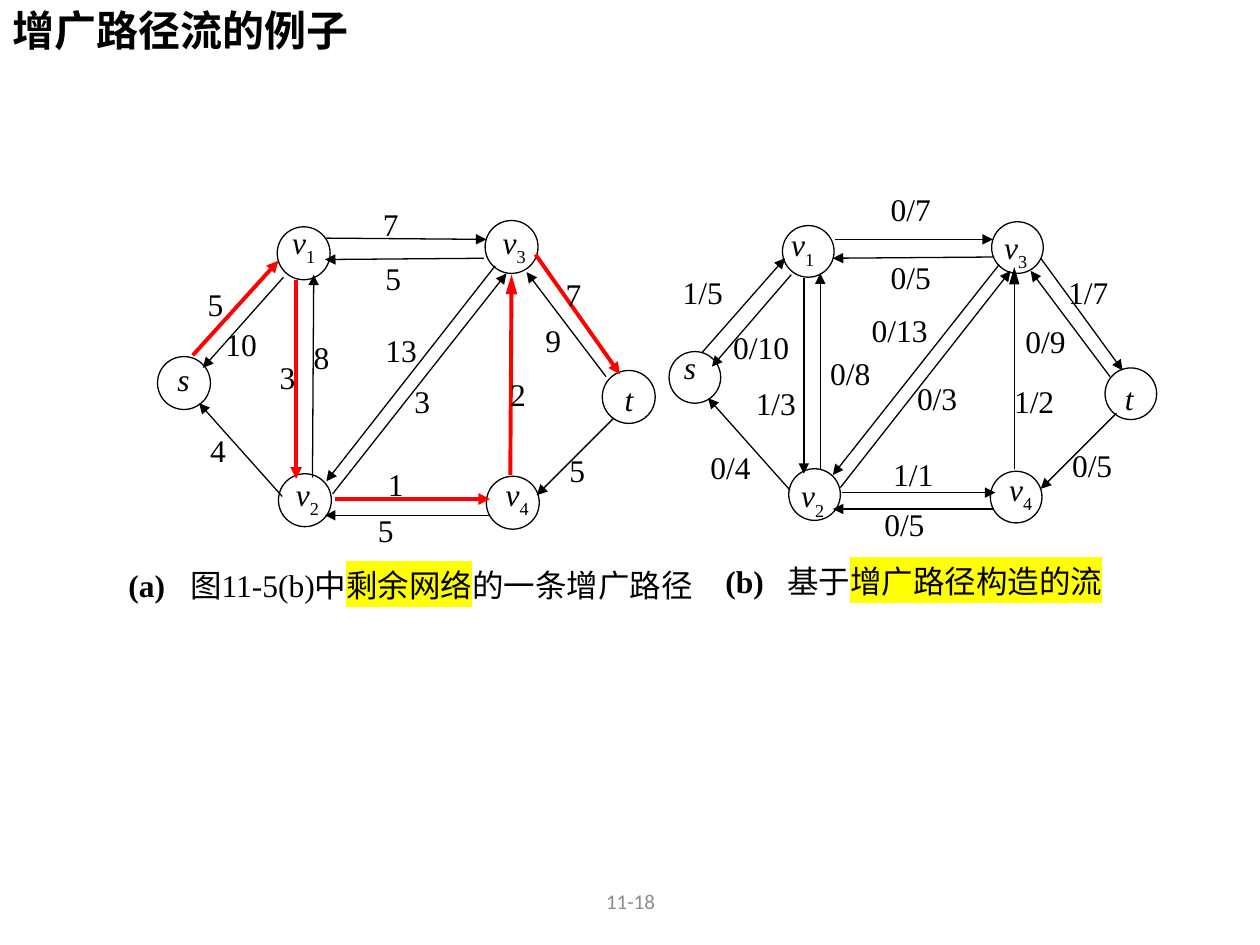
"""Build the slide on an augmenting path and the flow it produces."""
from dataclasses import dataclass

from lxml.etree import SubElement
from pptx import Presentation
from pptx.dml.color import RGBColor
from pptx.enum.shapes import MSO_CONNECTOR, MSO_SHAPE
from pptx.enum.text import MSO_ANCHOR, MSO_AUTO_SIZE, PP_ALIGN
from pptx.oxml import parse_xml
from pptx.oxml.ns import nsdecls, qn
from pptx.util import Inches, Pt


@dataclass(frozen=True)
class Theme:
    black: RGBColor = RGBColor(0, 0, 0)
    red: RGBColor = RGBColor(255, 0, 0)
    gray: RGBColor = RGBColor(0x8C, 0x8C, 0x8C)
    highlight: str = "FFFF00"
    serif: str = "Times New Roman"
    sans: str = "Calibri"
    chinese: str = "Noto Sans CJK SC"
    title_size: int = 24
    body_size: int = 18
    footer_size: int = 12
    thin: float = 0.75
    thick: float = 2.25


@dataclass(frozen=True)
class Network:
    circle: float
    name_box: tuple
    nodes: tuple
    edges: tuple
    labels: tuple
    caption_box: tuple
    caption: tuple


class NetworkSlide:
    def __init__(self, slide, theme):
        self.slide = slide
        self.theme = theme
        self.shapes = slide.shapes

    def style(self, span, size, font, color=None, bold=False, italic=False):
        span.font.size = Pt(size)
        span.font.name = font
        span.font.bold = bold
        span.font.italic = italic
        span.font.color.rgb = color or self.theme.black
        latin = span._r.get_or_add_rPr().find(qn("a:latin"))
        latin.addnext(parse_xml(f'<a:ea {nsdecls("a")} typeface="{self.theme.chinese}"/>'))

    def mark(self, span):
        latin = span._r.get_or_add_rPr().find(qn("a:latin"))
        latin.addprevious(parse_xml(
            f'<a:highlight {nsdecls("a")}><a:srgbClr val="{self.theme.highlight}"/></a:highlight>'))

    def title(self, text, left, top, width, height):
        box = self.slide.shapes.title
        box.left, box.top, box.width, box.height = map(Inches, (left, top, width, height))
        frame = box.text_frame
        frame.text = text
        frame.vertical_anchor = MSO_ANCHOR.TOP
        frame.auto_size = MSO_AUTO_SIZE.SHAPE_TO_FIT_TEXT
        para = frame.paragraphs[0]
        para.alignment = PP_ALIGN.LEFT
        para.line_spacing = 0.9
        self.style(para.runs[0], self.theme.title_size, self.theme.chinese, bold=True)

    def text_box(self, left, top, width, height):
        box = self.shapes.add_textbox(*map(Inches, (left, top, width, height)))
        box.text_frame.word_wrap = True
        return box.text_frame

    def page_number(self, text, *place):
        frame = self.text_box(*place)
        frame.text = text
        frame.vertical_anchor = MSO_ANCHOR.MIDDLE
        para = frame.paragraphs[0]
        para.alignment = PP_ALIGN.CENTER
        self.style(para.runs[0], self.theme.footer_size, self.theme.sans, self.theme.gray)

    def label(self, text, *place):
        frame = self.text_box(*place)
        frame.text = text
        self.style(frame.paragraphs[0].runs[0], self.theme.body_size, self.theme.serif)

    def node(self, name, circle_at, name_at, circle, name_box):
        ring = self.shapes.add_shape(
            MSO_SHAPE.OVAL, *map(Inches, (*circle_at, circle, circle)))
        ring.shadow.inherit = False
        ring.fill.background()
        ring.line.color.rgb = self.theme.black
        ring.line.width = Pt(self.theme.thin)
        para = self.text_box(*name_at, *name_box).paragraphs[0]
        para.alignment = PP_ALIGN.CENTER if name == "v4" else PP_ALIGN.LEFT
        for position, letter in enumerate(name):
            span = para.add_run()
            span.text = letter
            self.style(span, self.theme.body_size, self.theme.serif, italic=position == 0)
            if position:
                span._r.get_or_add_rPr().set("baseline", "-30000")

    def edge(self, x1, y1, x2, y2, kind=""):
        arrow = self.shapes.add_connector(
            MSO_CONNECTOR.STRAIGHT, *map(Inches, (x1, y1, x2, y2)))
        on_path = "path" in kind
        arrow.line.color.rgb = self.theme.red if on_path else self.theme.black
        arrow.line.width = Pt(self.theme.thick if on_path else self.theme.thin)
        SubElement(arrow.line._get_or_add_ln(), qn("a:tailEnd"), type="triangle",
                   w="med", len="lg" if "long" in kind else "med")
        SubElement(arrow._element.spPr, qn("a:effectLst"))

    def caption(self, place, letter, pieces):
        para = self.text_box(*place).paragraphs[0]
        para.line_spacing = 0.85
        tabs = SubElement(para._p.get_or_add_pPr(), qn("a:tabLst"))
        SubElement(tabs, qn("a:tab"), pos=str(Inches(0.49)), algn="l")
        for text, bold, marked in ((f"({letter})\t", True, False), *pieces):
            span = para.add_run()
            span.text = text
            self.style(span, self.theme.body_size, self.theme.serif, bold=bold)
            if marked:
                self.mark(span)

    def network(self, letter, network):
        self.shapes = self.slide.shapes.add_group_shape().shapes
        for node in network.nodes:
            self.node(*node, network.circle, network.name_box)
        for edge in network.edges:
            self.edge(*edge)
        for label in network.labels:
            self.label(*label)
        self.caption(network.caption_box, letter, network.caption)
        self.shapes = self.slide.shapes


RESIDUAL = Network(
    circle=0.42, name_box=(0.59, 0.55),
    nodes=(("s", (1.25, 2.83), (1.31, 2.81)), ("v1", (2.2, 1.8), (2.22, 1.72)),
           ("v2", (2.21, 3.76), (2.25, 3.72)), ("v3", (3.85, 1.75), (3.89, 1.72)),
           ("v4", (3.86, 3.78), (3.81, 3.72)), ("t", (4.78, 2.94), (4.86, 2.97))),
    edges=((1.53, 2.82, 2.21, 2.07, "path"), (2.25, 2.2, 1.61, 2.92),
           (2.24, 3.94, 1.58, 3.2), (2.59, 1.89, 3.86, 1.9), (3.84, 2.05, 2.58, 2.06),
           (2.35, 2.22, 2.35, 3.8, "path"), (2.48, 3.79, 2.49, 2.18),
           (3.93, 2.11, 2.59, 3.82), (2.64, 3.92, 4.02, 2.17),
           (2.66, 3.96, 3.89, 3.96, "path"), (3.89, 4.09, 2.58, 4.09),
           (4.05, 3.77, 4.06, 2.18, "long path"), (4.25, 2.02, 4.92, 2.97, "path"),
           (4.81, 2.99, 4.18, 2.16), (4.87, 3.32, 4.26, 3.93)),
    labels=(("5", 1.55, 2.21, 0.66, 0.55), ("10", 1.69, 2.53, 0.7, 0.52),
            ("4", 1.57, 3.37, 0.64, 0.48), ("7", 2.94, 1.58, 0.57, 0.55),
            ("5", 2.96, 2.01, 0.71, 0.52), ("3", 2.12, 2.79, 0.71, 0.52),
            ("8", 2.39, 2.63, 0.71, 0.51), ("13", 2.96, 2.58, 0.78, 0.47),
            ("3", 3.19, 2.98, 0.68, 0.43), ("1", 2.98, 3.64, 0.68, 0.52),
            ("5", 2.9, 4.01, 0.71, 0.51), ("2", 3.95, 2.93, 0.78, 0.44),
            ("7", 4.39, 2.13, 0.82, 0.53), ("9", 4.23, 2.5, 0.53, 0.52),
            ("5", 4.42, 3.53, 0.59, 0.48)),
    caption_box=(0.92, 4.49, 4.72, 0.46),
    caption=(("图11-5(b)中", False, False), ("剩余网络", False, True),
             ("的一条增广路径", False, False)))

FLOW = Network(
    circle=0.41, name_box=(0.58, 0.54),
    nodes=(("s", (5.31, 2.79), (5.33, 2.71)), ("v1", (6.21, 1.79), (6.18, 1.74)),
           ("v2", (6.26, 3.72), (6.26, 3.73)), ("v3", (7.87, 1.76), (7.87, 1.76)),
           ("v4", (7.86, 3.74), (7.81, 3.68)), ("t", (8.77, 2.92), (8.83, 2.96))),
    edges=((5.57, 2.8, 6.23, 2.05), (6.28, 2.18, 5.65, 2.91),
           (6.27, 3.89, 5.62, 3.16), (6.63, 1.9, 7.88, 1.9), (7.89, 2.04, 6.61, 2.05),
           (6.38, 2.21, 6.38, 3.76), (6.51, 3.73, 6.51, 2.17),
           (7.93, 2.1, 6.61, 3.77), (6.67, 3.87, 8.02, 2.15),
           (6.68, 3.91, 7.9, 3.91), (7.89, 4.04, 6.61, 4.04),
           (8.05, 3.72, 8.05, 2.12, "long"), (8.26, 2.05, 8.91, 2.94),
           (8.81, 2.99, 8.18, 2.15), (8.86, 3.28, 8.26, 3.88)),
    labels=(("1/5", 5.32, 2.12, 0.92, 0.43), ("0/10", 5.72, 2.55, 0.91, 0.51),
            ("0/4", 5.54, 3.51, 0.63, 0.47), ("0/7", 6.97, 1.46, 0.69, 0.54),
            ("0/5", 6.97, 2, 0.7, 0.5), ("1/3", 5.9, 3, 0.7, 0.5),
            ("0/8", 6.49, 2.76, 0.93, 0.5), ("0/13", 6.82, 2.42, 0.95, 0.47),
            ("0/3", 7.18, 2.96, 0.8, 0.42), ("1/1", 6.99, 3.56, 0.8, 0.5),
            ("0/5", 6.92, 3.96, 0.7, 0.5), ("1/2", 7.95, 2.98, 0.77, 0.44),
            ("1/7", 8.38, 2.12, 0.8, 0.52), ("0/9", 8.04, 2.51, 0.7, 0.51),
            ("0/5", 8.41, 3.49, 0.79, 0.47)),
    caption_box=(5.66, 4.46, 3.24, 0.42),
    caption=(("基于", False, False), ("增广路径构造的流", False, True)))


def main():
    deck = Presentation()
    deck.slide_width, deck.slide_height = Inches(10), Inches(7.5)
    page = NetworkSlide(deck.slides.add_slide(deck.slide_layouts[5]), Theme())
    page.title("增广路径流的例子", 0, 0.03, 7.33, 0.5)
    page.page_number("11-18", 3.42, 6.95, 3.17, 0.4)
    page.network("a", RESIDUAL)
    page.network("b", FLOW)
    deck.save("out.pptx")


if __name__ == "__main__":
    main()
